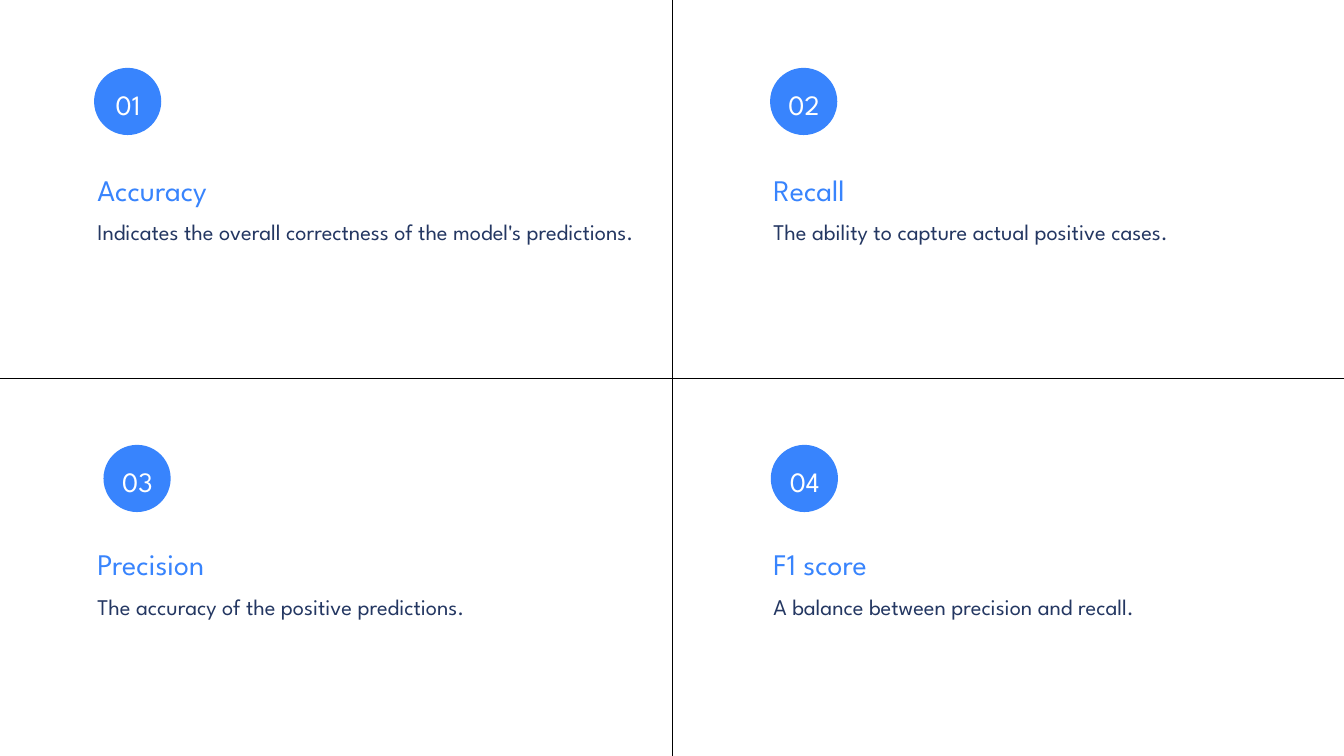
from lxml import etree
from pptx import Presentation
from pptx import util as u
from pptx.dml.color import RGBColor
from pptx.enum import shapes, text
from pptx.oxml import ns

PX = 9144
FONT = "League Spartan"
BLUE, NAVY, WHITE, BLACK = "3884FD", "243762", "FFFFFF", "000000"


def color(hex_code):
    return RGBColor.from_string(hex_code)


def write(frame, words, size, spacing, hex_code):
    paragraph = frame.paragraphs[0]
    paragraph.text = words
    paragraph.line_spacing = u.Pt(spacing)
    paragraph.font.name = FONT
    paragraph.font.size = u.Pt(size)
    paragraph.font.color.rgb = color(hex_code)
    return paragraph


deck = Presentation()
deck.slide_width, deck.slide_height = 2000 * PX, 1125 * PX
slide = deck.slides.add_slide(deck.slide_layouts[6])

column_widths = [140, 860, 146, 854]
row_heights = [314, 249, 309, 253]
metrics = [
    ("Accuracy", "Indicates the overall correctness of the model's predictions.", 140, 101),
    ("Recall", "The ability to capture actual positive cases.", 1146, 101),
    ("Precision", "The accuracy of the positive predictions.", 154, 662),
    ("F1 score", "A balance between precision and recall.", 1147, 662),
]

grid = slide.shapes.add_table(4, 4, 0, 0, 2000 * PX, 1125 * PX).table
grid.first_row = grid.horz_banding = False
for column, width in zip(grid.columns, column_widths):
    column.width = width * PX
for row, height in zip(grid.rows, row_heights):
    row.height = height * PX

for r in range(4):
    for c in range(4):
        cell = grid.cell(r, c)
        cell.fill.background()
        cell.margin_left = cell.margin_right = 5 * PX
        cell.margin_top = cell.margin_bottom = 5 * PX
        properties = cell._tc.get_or_add_tcPr()
        edges = [("lnL", c == 2), ("lnR", c == 1), ("lnT", r == 2), ("lnB", r == 1)]
        for position, (edge, visible) in enumerate(edges):
            line = etree.Element(ns.qn("a:" + edge), w=str(u.Pt(0.75) if visible else 0))
            if visible:
                fill = etree.SubElement(line, ns.qn("a:solidFill"))
                etree.SubElement(fill, ns.qn("a:srgbClr"), val=BLACK)
            else:
                etree.SubElement(line, ns.qn("a:noFill"))
            properties.insert(position, line)

for index, (name, meaning, left, top) in enumerate(metrics):
    row, column = index // 2 * 2, index % 2 * 2 + 1
    heading = grid.cell(row, column)
    heading.vertical_anchor = text.MSO_ANCHOR.BOTTOM
    write(heading.text_frame, name, 32, 44.8, BLUE)
    write(grid.cell(row + 1, column).text_frame, meaning, 24, 33.6, NAVY)

    badge = slide.shapes.add_group_shape()
    circle = badge.shapes.add_shape(
        shapes.MSO_SHAPE.OVAL, left * PX, top * PX, 100 * PX, 100 * PX)
    circle.shadow.inherit = False
    circle.fill.solid()
    circle.fill.fore_color.rgb = color(BLUE)
    circle.line.fill.background()

    number = badge.shapes.add_textbox(
        (left + 12) * PX, (top + 21) * PX, 77 * PX, 55 * PX).text_frame
    number.word_wrap = True
    number.margin_left = number.margin_right = 0
    number.margin_top = number.margin_bottom = 0
    label = write(number, f"{index + 1:02}", 30, 42, WHITE)
    label.alignment = text.PP_ALIGN.CENTER

deck.save("out.pptx")
